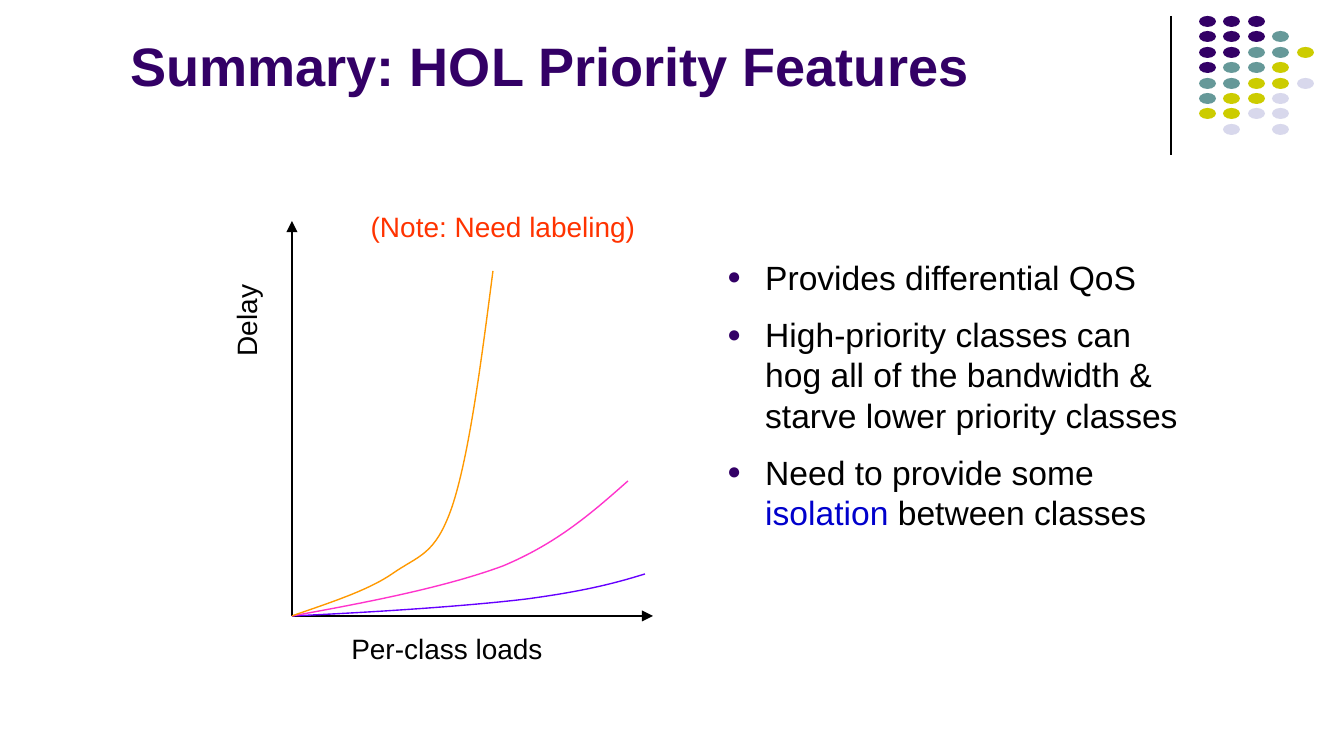
"""Build a slide on HOL priority features with a delay sketch."""
from lxml.etree import SubElement as Sub
from pptx import Presentation
from pptx.dml.color import RGBColor as Rgb
from pptx.enum.shapes import MSO_CONNECTOR as Link, MSO_SHAPE as Kind
from pptx.enum.text import MSO_ANCHOR as Anchor, PP_ALIGN as Align
from pptx.oxml.ns import qn
from pptx.util import Pt

PX = 914400 / 134.4
INK = {"plum": "330066", "teal": "669999", "lime": "CCCC00", "mist": "D8D8EC",
       "black": "000000", "blue": "0000CC", "red": "FF3300",
       "violet": "6600FF", "pink": "FF33CC", "gold": "FF9900"}

TITLE = "Summary: HOL Priority Features"
POINTS = [
    [("Provides differential QoS", "black")],
    [("High-priority classes can hog all of the bandwidth & "
      "starve lower priority classes", "black")],
    [("Need to provide some ", "black"), ("isolation", "blue"),
     (" between classes", "black")],
]
LABELS = [
    ("Delay", (196, 297, 100, 47), "black", 270),
    ("Per-class loads", (337, 625, 220, 47), "black", 0),
    ("(Note: Need labeling)", (355, 203, 296, 47), "red", 0),
]
DOTS = ["PPP", "PPPT", "PPTTL", "PTTL", "TTLLM", "TLLM", "LLMM", " M M"]
TONES = {"P": "plum", "T": "teal", "L": "lime", "M": "mist"}
START = (292, 616)
LINES = [((1171, 16), (1171, 155), None), (START, (292, 221), "tailEnd"),
         (START, (653, 616), "tailEnd")]
CURVES = {
    "violet": [(380, 612), (469, 606), (527, 599),
               (586, 591), (616, 583), (645, 574)],
    "pink": [(370, 602), (446, 587), (503, 566),
             (558, 543), (593, 512), (628, 481)],
    "gold": [(329, 603), (367, 591), (392, 574), (419, 555), (435, 556),
             (452, 507), (469, 456), (481, 364), (493, 271)],
}


def emu(*vals):
    return [round(v * PX) for v in vals]


def hue(name):
    return Rgb.from_string(INK[name])


def bullet(para):
    props = para._p.get_or_add_pPr()
    left = emu(38)[0]
    props.set("marL", str(left))
    props.set("indent", str(-left))
    Sub(Sub(props, qn("a:buClr")), qn("a:srgbClr"), val=INK["plum"])
    Sub(props, qn("a:buSzPct"), val="70000")
    Sub(props, qn("a:buFont"), typeface="Arial")
    Sub(props, qn("a:buChar"), char="\u25cf")


def write(rows, box, size, bold=False, align=Align.LEFT, anchor=Anchor.TOP,
          wrap=True, turn=0, dots=False, gap=0):
    shape = slide.shapes.add_textbox(*emu(*box))
    shape.rotation = turn
    frame = shape.text_frame
    frame.word_wrap = wrap
    frame.vertical_anchor = anchor
    for i, row in enumerate(rows):
        para = frame.add_paragraph() if i else frame.paragraphs[0]
        para.alignment = align
        para.space_before = Pt(gap)
        if dots:
            bullet(para)
        for text, ink in row:
            run = para.add_run()
            run.text = text
            font = run.font
            font.name, font.size, font.bold = "Arial", Pt(size), bold
            font.color.rgb = hue(ink)


def rule(start, end, head):
    line = slide.shapes.add_connector(Link.STRAIGHT, *emu(*start, *end))
    line.line.color.rgb = hue("black")
    line.line.width = Pt(0.75)
    if head:
        Sub(line.line._get_or_add_ln(), qn("a:" + head), type="triangle")
    Sub(line._element.spPr, qn("a:effectLst"))


def curve(ink, knots):
    pen = slide.shapes.build_freeform(*START, scale=PX)
    pen.add_line_segments(knots, close=False)
    shape = pen.convert_to_shape()
    shape.shadow.inherit = False
    shape.fill.background()
    shape.line.color.rgb = hue(ink)
    shape.line.width = Pt(0.75)
    route = next(shape._element.iter(qn("a:path")))
    legs = route.findall(qn("a:lnTo"))
    for i in range(0, len(legs), 3):
        bend = Sub(route, qn("a:cubicBezTo"))
        for leg in legs[i:i + 3]:
            bend.append(leg[0])
            route.remove(leg)


def dot(row, col, ink):
    box = emu(1199 + int(24.5 * col), 16 + round(15.4 * row), 17, 11)
    shape = slide.shapes.add_shape(Kind.OVAL, *box)
    shape.shadow.inherit = False
    shape.fill.solid()
    shape.fill.fore_color.rgb = hue(ink)
    shape.line.fill.background()


deck = Presentation()
deck.slide_width, deck.slide_height = emu(1344, 756)
slide = deck.slides.add_slide(deck.slide_layouts[6])

for line in LINES[:1]:
    rule(*line)
for row, marks in enumerate(DOTS):
    for col, mark in enumerate(marks):
        if mark in TONES:
            dot(row, col, TONES[mark])

write([[(TITLE, "plum")]], (117, 35, 957, 69), 29, bold=True, anchor=Anchor.BOTTOM)
write(POINTS, (714, 250, 493, 339), 18, dots=True, gap=9)

for line in LINES[1:]:
    rule(*line)
for ink, knots in CURVES.items():
    curve(ink, knots)
for text, box, ink, turn in LABELS:
    write([[(text, ink)]], box, 15, align=Align.CENTER, anchor=Anchor.MIDDLE,
          wrap=False, turn=turn)

deck.save("out.pptx")
